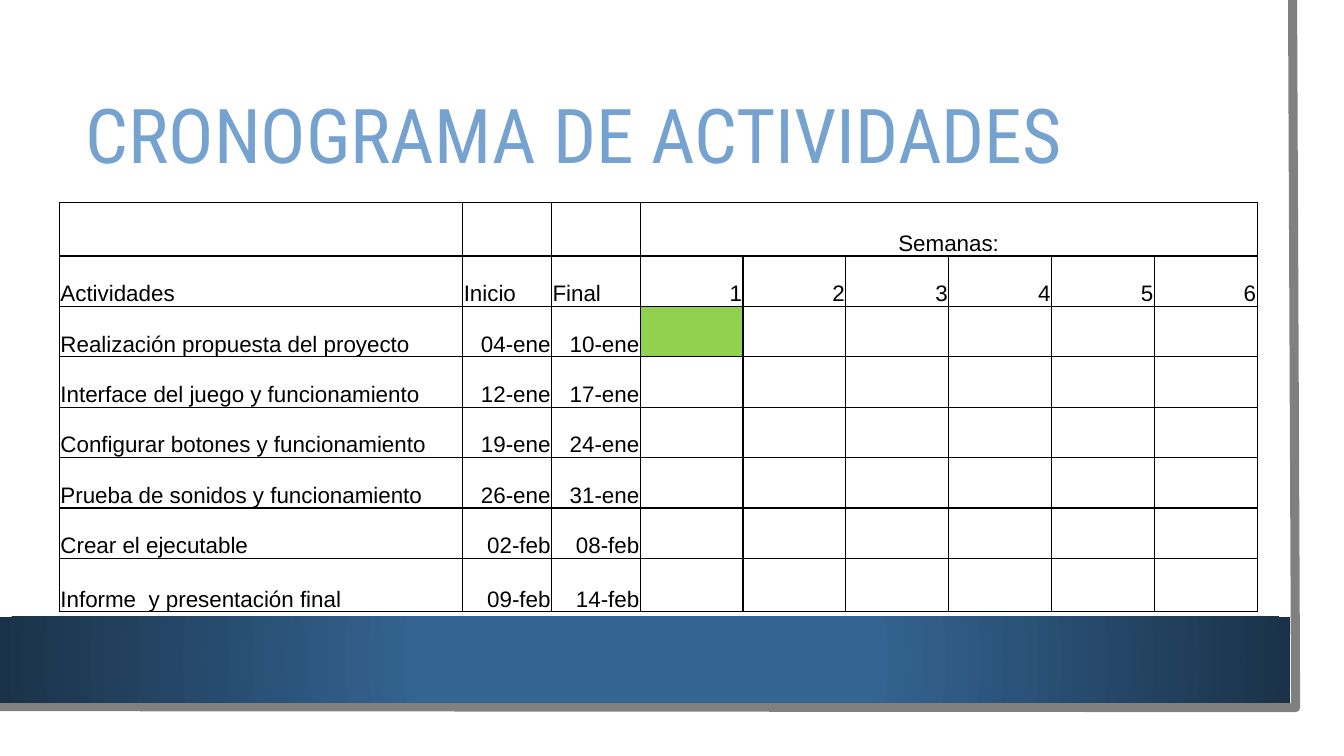
from lxml import etree
from pptx import Presentation
from pptx.dml.color import RGBColor
from pptx.enum.shapes import MSO_SHAPE as SHAPE
from pptx.enum.text import MSO_ANCHOR as ANCHOR, MSO_AUTO_SIZE as AUTO, PP_ALIGN as ALIGN
from pptx.oxml import parse_xml
from pptx.oxml.ns import nsdecls, qn
from pptx.util import Inches, Pt

# Content
TITLE = "CRONOGRAMA DE ACTIVIDADES"
WEEKS = 6
HEADERS = ["Actividades", "Inicio", "Final"]
ACTIVITIES = [
    ("Realización propuesta del proyecto", "04-ene", "10-ene"),
    ("Interface del juego y funcionamiento", "12-ene", "17-ene"),
    ("Configurar botones y funcionamiento", "19-ene", "24-ene"),
    ("Prueba de sonidos y funcionamiento", "26-ene", "31-ene"),
    ("Crear el ejecutable", "02-feb", "08-feb"),
    ("Informe  y presentación final", "09-feb", "14-feb"),
]
DONE = {(2, 3)}  # row and column of the coloured weeks
COLS = [4, 0.88, 0.88] + [1.02] * WEEKS
ROWS = [0.53] + [0.5] * len(ACTIVITIES) + [0.53]
EDGE = [(12.82, 0), (12.85, 7.02), (-0.03, 7.01)]
BAND_STOPS = [(34, "346492"), (100, "1A3249")]


def color(value):
    return RGBColor.from_string(value)


def write(tf, text, size=16, font="Arial", fill="000000", align=ALIGN.LEFT, spacing=None):
    p = tf.paragraphs[0]
    p.alignment = align
    p.line_spacing = spacing
    r = p.add_run()
    r.text = text
    r.font.size, r.font.name = Pt(size), font
    r.font.color.rgb = color(fill)


def set_borders(cell, value="000000", width=1):
    tcPr = cell._tc.get_or_add_tcPr()
    for side in ("lnL", "lnR", "lnT", "lnB"):
        ln = etree.SubElement(tcPr, qn("a:" + side), w=str(Pt(width)))
        solid = etree.SubElement(ln, qn("a:solidFill"))
        etree.SubElement(solid, qn("a:srgbClr"), val=value)


def radial_fill(sp, stops):
    gs = "".join(f'<a:gs pos="{pos * 1000}"><a:srgbClr val="{value}"/></a:gs>'
                 for pos, value in stops)
    grad = parse_xml(
        f'<a:gradFill {nsdecls("a")} rotWithShape="1"><a:gsLst>{gs}</a:gsLst>'
        '<a:path path="circle"><a:fillToRect l="50000" t="50000" r="50000" b="50000"/>'
        '</a:path></a:gradFill>')
    sp._element.spPr.find(qn("a:prstGeom")).addnext(grad)


prs = Presentation()
prs.slide_width, prs.slide_height = Inches(13.33), Inches(7.5)
s = prs.slides.add_slide(prs.slide_layouts[5])

# Grey edge on the right and at the bottom
points = [(Inches(x), Inches(y)) for x, y in EDGE]
builder = s.shapes.build_freeform(*points[0])
builder.add_line_segments(points[1:], close=False)
edge = builder.convert_to_shape()
edge.shadow.inherit = False
edge.fill.background()
edge.line.color.rgb = color("808080")
edge.line.width = Pt(6.5)

# Blue band
band = s.shapes.add_shape(SHAPE.RECTANGLE, 0, Inches(6.12), Inches(12.8), Inches(0.85))
band.shadow.inherit = False
band.line.fill.background()
radial_fill(band, BAND_STOPS)

# Title
title = s.shapes.title
title.left, title.top = Inches(0.75), Inches(0.75)
title.width, title.height = Inches(11.37), Inches(1.26)
tf = title.text_frame
tf.auto_size, tf.vertical_anchor = AUTO.NONE, ANCHOR.MIDDLE
write(tf, TITLE, size=54, font="Roboto Condensed", fill="75A2CE", spacing=0.9)

# Schedule table
table = s.shapes.add_table(len(ROWS), len(COLS), Inches(0.59), Inches(2.01),
                           Inches(sum(COLS)), Inches(sum(ROWS))).table
table.first_row = table.horz_banding = False
for column, width in zip(table.columns, COLS):
    column.width = Inches(width)
for row, height in zip(table.rows, ROWS):
    row.height = Inches(height)

texts = {(0, 3): "Semanas:"}
lines = [HEADERS + [str(week + 1) for week in range(WEEKS)]] + ACTIVITIES
for i, line in enumerate(lines, 1):
    for j, text in enumerate(line):
        texts[i, j] = text

for i in range(len(ROWS)):
    for j in range(len(COLS)):
        cell = table.cell(i, j)
        set_borders(cell)
        cell.margin_left = cell.margin_right = cell.margin_top = Inches(0.01)
        cell.margin_bottom = 0
        cell.vertical_anchor = ANCHOR.BOTTOM
        if (i, j) in DONE:
            cell.fill.solid()
            cell.fill.fore_color.rgb = color("92D050")
        else:
            cell.fill.background()
        if (i, j) in texts:
            label = j == 0 or (i == 1 and j < len(HEADERS))
            align = ALIGN.CENTER if i == 0 else ALIGN.LEFT if label else ALIGN.RIGHT
            write(cell.text_frame, texts[i, j], align=align)
table.cell(0, 3).merge(table.cell(0, len(COLS) - 1))

prs.save("out.pptx")
